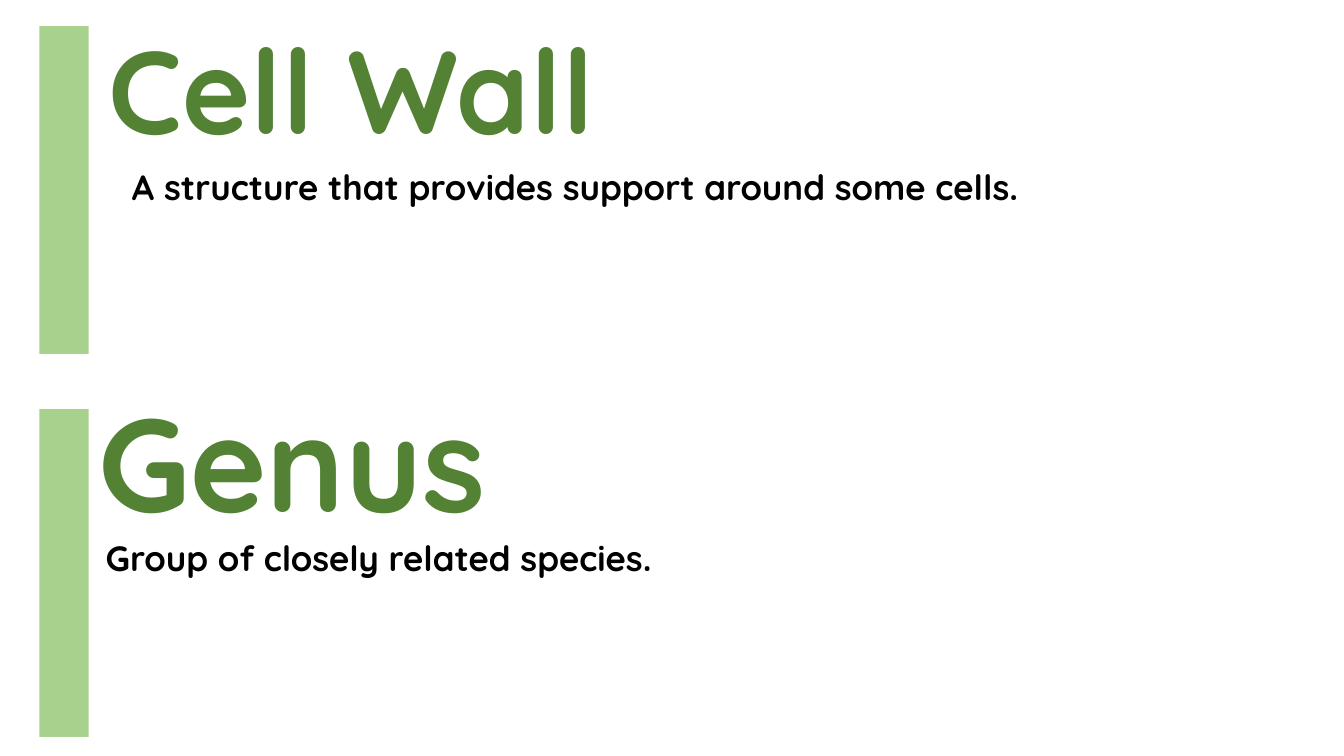
import pptx
import pptx.util
import pptx.dml.color
import pptx.enum.shapes
import pptx.enum.text

Inches = pptx.util.Inches

# Content: each term with its size and the left and top of its parts
ENTRIES = [
    {
        "term": "Cell Wall", "term_size": 84, "term_at": (0.98, 0.02),
        "definition": "A structure that provides support around some cells.",
        "definition_at": (1.21, 1.59), "bar_top": 0.26,
    },
    {
        "term": "Genus", "term_size": 94, "term_at": (0.88, 3.71),
        "definition": "Group of closely related species.",
        "definition_at": (0.95, 5.27), "bar_top": 4.06,
    },
]
COLOURS = {"bar": "A9D18E", "term": "548235", "definition": "000000"}
FONT = "Quicksand"
DEFINITION_SIZE = 25
BAR_LEFT, BAR_WIDTH, BAR_HEIGHT = 0.39, 0.49, 3.25
TERM_BOX = (9.59, 1.7)
DEFINITION_BOX = (9.45, 2.18)


def colour(name):
    return pptx.dml.color.RGBColor.from_string(COLOURS[name])


def add_bar(slide, top):
    bar = slide.shapes.add_shape(
        pptx.enum.shapes.MSO_SHAPE.RECTANGLE,
        Inches(BAR_LEFT), Inches(top), Inches(BAR_WIDTH), Inches(BAR_HEIGHT))
    bar.shadow.inherit = False
    bar.fill.solid()
    bar.fill.fore_color.rgb = colour("bar")
    bar.line.fill.background()


def add_text(slide, text, position, box_size, font_size, colour_name, anchor):
    box = slide.shapes.add_textbox(*map(Inches, position + box_size))
    text_frame = box.text_frame
    text_frame.word_wrap = True
    text_frame.vertical_anchor = anchor
    text_frame.text = text
    font = text_frame.paragraphs[0].runs[0].font
    font.name = FONT
    font.size = pptx.util.Pt(font_size)
    font.bold = True
    font.color.rgb = colour(colour_name)


def main():
    presentation = pptx.Presentation()
    presentation.slide_width = Inches(13.33)
    presentation.slide_height = Inches(7.5)
    slide = presentation.slides.add_slide(presentation.slide_layouts[6])
    anchors = pptx.enum.text.MSO_ANCHOR

    # One bar, term and definition per entry
    for entry in ENTRIES:
        add_bar(slide, entry["bar_top"])
        add_text(slide, entry["term"], entry["term_at"], TERM_BOX,
                 entry["term_size"], "term", anchors.MIDDLE)
        add_text(slide, entry["definition"], entry["definition_at"], DEFINITION_BOX,
                 DEFINITION_SIZE, "definition", anchors.TOP)

    presentation.save("out.pptx")


if __name__ == "__main__":
    main()
